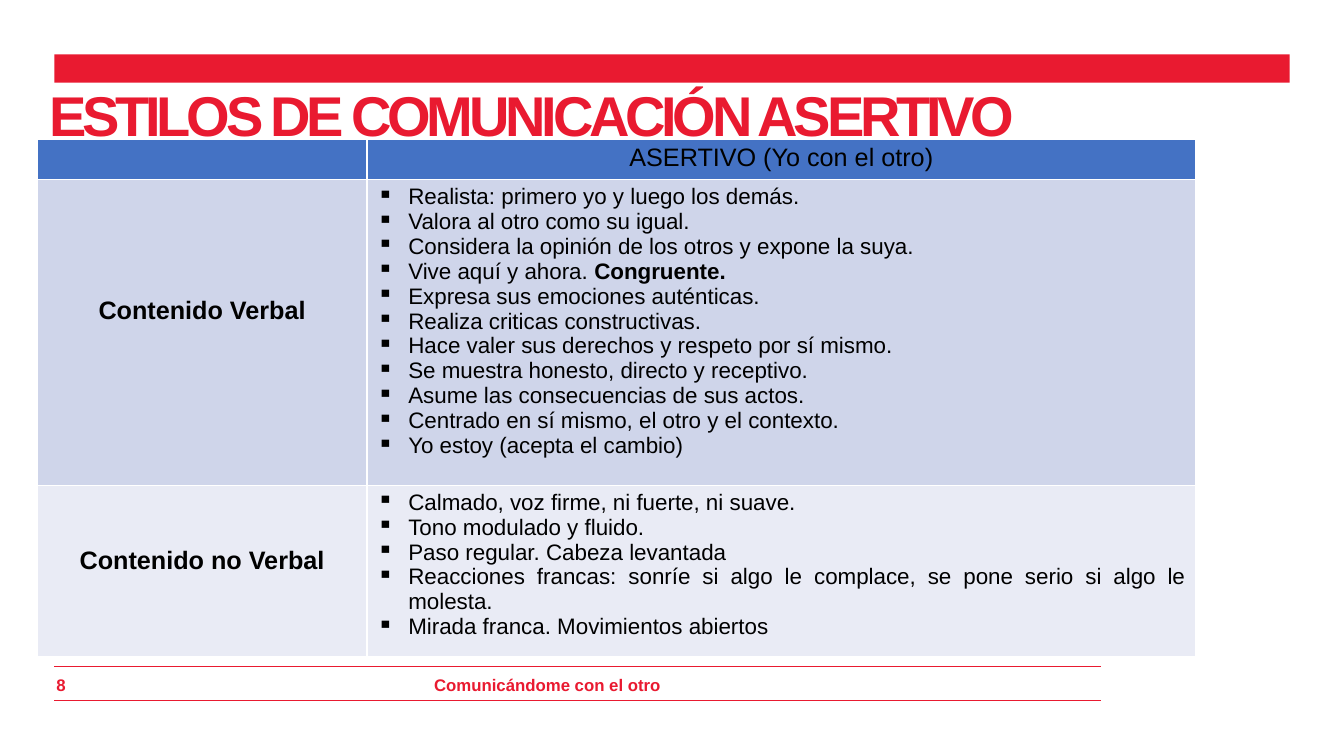
"""Builds the slide on the assertive communication style."""
import lxml.etree
import pptx
import pptx.dml.color
import pptx.enum.shapes
import pptx.enum.text
import pptx.oxml
import pptx.oxml.ns
import pptx.util

Inches, Pt = pptx.util.Inches, pptx.util.Pt
ALIGN = pptx.enum.text.PP_ALIGN
ANCHOR = pptx.enum.text.MSO_ANCHOR
RED, BLACK = "E91A30", "000000"
MARGIN = 0.54
BULLET_INDENT = 0.31
EMPTY_LINE = 18 * 1.117 / 72


def color(value):
    return pptx.dml.color.RGBColor.from_string(value)


def style(paragraph, size, value, bold, align=ALIGN.LEFT):
    paragraph.alignment = align
    paragraph.font.name = "Arial"
    paragraph.font.size = Pt(size)
    paragraph.font.bold = bold
    paragraph.font.color.rgb = color(value)


presentation = pptx.Presentation()
presentation.slide_width = Inches(13.33)
presentation.slide_height = Inches(7.5)
slide = presentation.slides.add_slide(presentation.slide_layouts[5])

band = slide.shapes.add_shape(
    pptx.enum.shapes.MSO_SHAPE.RECTANGLE,
    Inches(MARGIN), Inches(MARGIN), Inches(12.25), Inches(0.28))
band.shadow.inherit = False
band.fill.solid()
band.fill.fore_color.rgb = color(RED)
band.line.fill.background()

for rule_y in (6.61, 6.95):
    rule = slide.shapes.add_connector(
        pptx.enum.shapes.MSO_CONNECTOR.STRAIGHT,
        Inches(MARGIN), Inches(rule_y), Inches(10.92), Inches(rule_y))
    rule.line.color.rgb = color(RED)
    rule.line.width = Pt(0.5)
    lxml.etree.SubElement(rule._element.spPr, pptx.oxml.ns.qn("a:effectLst"))

for left, text, align in ((3.93, "Comunicándome con el otro", ALIGN.CENTER),
                          (0.56, "8", ALIGN.LEFT)):
    footer = slide.shapes.add_textbox(
        Inches(left), Inches(6.59), Inches(3), Inches(0.4)).text_frame
    footer.margin_left = footer.margin_right = 0
    footer.margin_top = footer.margin_bottom = 0
    footer.vertical_anchor = ANCHOR.MIDDLE
    footer.word_wrap = True
    footer.text = text
    style(footer.paragraphs[0], 12, RED, True, align)

title = slide.shapes.title
title.left, title.top = Inches(0.49), Inches(1.03)
title.width, title.height = Inches(12.31), Inches(0.64)
heading = title.text_frame
heading.margin_left = heading.margin_right = 0
heading.margin_top = heading.margin_bottom = 0
heading.vertical_anchor = ANCHOR.TOP
heading.auto_size = pptx.enum.text.MSO_AUTO_SIZE.NONE
heading.word_wrap = True
heading.text = "ESTILOS DE COMUNICACIÓN ASERTIVO"
heading_line = heading.paragraphs[0]
style(heading_line, 40, RED, True)
heading_line.line_spacing = 0.6
heading_line.space_before = Pt(10)
heading_line.runs[0].font._element.set("spc", "-300")

contents = [
    ("Contenido Verbal", 4, "CFD5EA", [
        ["Realista: primero yo y luego los demás."],
        ["Valora al otro como su igual."],
        ["Considera la opinión de los otros y expone la suya."],
        ["Vive aquí y ahora. ", "Congruente."],
        ["Expresa sus emociones auténticas."],
        ["Realiza criticas constructivas."],
        ["Hace valer sus derechos y respeto por sí mismo."],
        ["Se muestra honesto, directo y receptivo."],
        ["Asume las consecuencias de sus actos."],
        ["Centrado en sí mismo, el otro y el contexto."],
        ["Yo estoy (acepta el cambio)"],
    ]),
    ("Contenido no Verbal", 2, "E9EBF5", [
        ["Calmado, voz firme, ni fuerte, ni suave."],
        ["Tono modulado y fluido."],
        ["Paso regular. Cabeza levantada"],
        ["Reacciones francas: sonríe si algo le complace, "
         "se pone serio si algo le molesta."],
        ["Mirada franca. Movimientos abiertos"],
    ]),
]
columns, rows = (3.27, 8.22), (0.37, 2.81, 1.58)
styles = slide.shapes.add_table(
    len(rows), len(columns), Inches(0.37), Inches(1.38),
    Inches(sum(columns)), Inches(sum(rows))).table
for column, width in zip(styles.columns, columns):
    column.width = Inches(width)
for row, height, fill in zip(styles.rows, rows, ("4472C4", "CFD5EA", "E9EBF5")):
    row.height = Inches(height)
    for cell in row.cells:
        cell.fill.solid()
        cell.fill.fore_color.rgb = color(fill)

column_heading = styles.cell(0, 1).text_frame
column_heading.text = "ASERTIVO (Yo con el otro)"
style(column_heading.paragraphs[0], 18, BLACK, False, ALIGN.CENTER)

for row_number, (label, lines_above, fill, traits) in enumerate(contents, 1):
    label_cell = styles.cell(row_number, 0)
    label_cell.margin_top = Inches(0.05 + lines_above * EMPTY_LINE)
    label_cell.text = label
    style(label_cell.text_frame.paragraphs[0], 18, BLACK, True, ALIGN.CENTER)

    trait_list = styles.cell(row_number, 1).text_frame
    for position, parts in enumerate(traits):
        trait = trait_list.add_paragraph() if position else trait_list.paragraphs[0]
        for part in parts:
            trait.add_run().text = part
        for emphasis in trait.runs[1:]:
            emphasis.font.bold = True
        style(trait, 16, BLACK, False, ALIGN.JUSTIFY)
        properties = trait._p.get_or_add_pPr()
        properties.set("marL", str(Inches(BULLET_INDENT)))
        properties.set("indent", str(-Inches(BULLET_INDENT)))
        properties.insert(0, pptx.oxml.parse_xml(
            f'<a:buChar {pptx.oxml.ns.nsdecls("a")} char="▪"/>'))

presentation.save("out.pptx")
